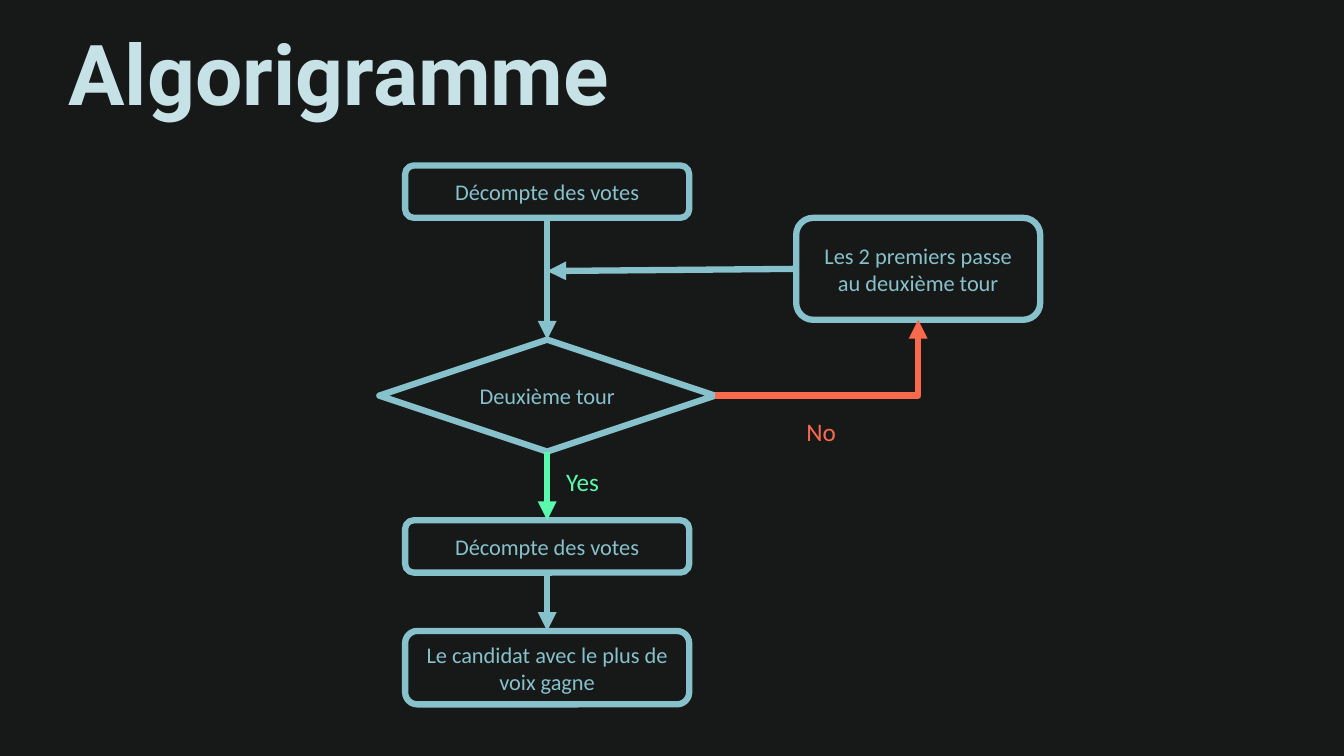
"""Build a slide with the flowchart of a two-round vote."""
from lxml import etree
from pptx import Presentation
from pptx.dml.color import RGBColor
from pptx.enum import shapes, text
from pptx.oxml import ns
from pptx.util import Cm, Pt

DARK = RGBColor(0x17, 0x19, 0x18)
PALE = RGBColor(0xC7, 0xE2, 0xE7)
BLUE = RGBColor(0x87, 0xC1, 0xCC)
GREEN = RGBColor(0x5C, 0xF8, 0xAE)
RED = RGBColor(0xF9, 0x6A, 0x4D)

TITLE = "Algorigramme"
ROUNDED = shapes.MSO_SHAPE.ROUNDED_RECTANGLE
DECISION = shapes.MSO_SHAPE.FLOWCHART_DECISION
MAIN_AXIS, SIDE_AXIS, JOIN_HEIGHT = 13.79, 23.14, 6.83
LINE_WIDTH = Pt(4.5)
TOP, LEFT, BOTTOM, RIGHT = range(4)

# name: (wording, preset, axis, top, width, height)
STEPS = {
    "count": ("Décompte des votes", ROUNDED, MAIN_AXIS, 4.17, 7.16, 1.32),
    "runoff": ("Les 2 premiers passe au deuxième tour", ROUNDED, SIDE_AXIS, 5.49, 6.15, 2.57),
    "decision": ("Deuxième tour", DECISION, MAIN_AXIS, 8.56, 8.46, 2.82),
    "recount": ("Décompte des votes", ROUNDED, MAIN_AXIS, 13.11, 7.16, 1.32),
    "winner": ("Le candidat avec le plus de voix gagne", ROUNDED, MAIN_AXIS, 15.9, 7.16, 1.85),
}
# start, its side, end, its side, colour
ARROWS = [
    ("count", BOTTOM, "decision", TOP, BLUE),
    ("decision", BOTTOM, "recount", TOP, GREEN),
    ("recount", BOTTOM, "winner", TOP, BLUE),
    ("decision", RIGHT, "runoff", BOTTOM, RED),
    ("runoff", LEFT, None, None, BLUE),
]
# wording, left, top, colour
LABELS = [("Yes", 14.02, 11.63, GREEN), ("No", 20.07, 10.36, RED)]


def write(box, wording, *, size, color, font="Calibri", bold=False,
          align=text.PP_ALIGN.LEFT, anchor=text.MSO_ANCHOR.TOP):
    """Fill a box with formatted text."""
    frame = box.text_frame
    frame.word_wrap = True
    frame.vertical_anchor = anchor
    para = frame.paragraphs[0]
    para.alignment = align
    span = para.add_run()
    span.text = wording
    span.font.name, span.font.size, span.font.bold = font, Pt(size), bold
    span.font.color.rgb = color


def add_step(page, wording, preset, axis, top, width, height):
    """Add an outlined step centred on its axis."""
    box = page.shapes.add_shape(preset, Cm(axis - width / 2), Cm(top), Cm(width), Cm(height))
    box.shadow.inherit = False
    box.fill.background()
    box.line.color.rgb = BLUE
    box.line.width = LINE_WIDTH
    write(box, wording, size=16, color=BLUE,
          align=text.PP_ALIGN.CENTER, anchor=text.MSO_ANCHOR.MIDDLE)
    return box


def add_arrow(page, start, start_side, end, end_side, color):
    """Connect two steps, or a step and the join on the main axis."""
    bent = start_side == RIGHT
    kind = shapes.MSO_CONNECTOR.ELBOW if bent else shapes.MSO_CONNECTOR.STRAIGHT
    join = Cm(MAIN_AXIS), Cm(JOIN_HEIGHT)
    arrow = page.shapes.add_connector(kind, *join, *join)
    arrow.begin_connect(start, start_side)
    if end is not None:
        arrow.end_connect(end, end_side)
    arrow.line.color.rgb = color
    arrow.line.width = LINE_WIDTH
    properties = arrow._element.spPr
    if bent:
        properties.find(ns.qn("a:prstGeom")).set("prst", "bentConnector2")
    etree.SubElement(properties.find(ns.qn("a:ln")), ns.qn("a:tailEnd"), type="triangle")
    etree.SubElement(properties, ns.qn("a:effectLst"))


def main():
    """Build and save the deck."""
    deck = Presentation()
    deck.slide_width, deck.slide_height = Cm(33.87), Cm(19.05)
    page = deck.slides.add_slide(deck.slide_layouts[5])
    page.background.fill.solid()
    page.background.fill.fore_color.rgb = DARK

    title = page.shapes.title
    title.left, title.top, title.width, title.height = Cm(1.47), Cm(0.41), Cm(16.54), Cm(2.82)
    write(title, TITLE, size=60, color=PALE, font="Roboto", bold=True)

    steps = {name: add_step(page, *step) for name, step in STEPS.items()}
    for start, start_side, end, end_side, color in ARROWS:
        add_arrow(page, steps[start], start_side, steps.get(end), end_side, color)
    for wording, left, top, color in LABELS:
        label = page.shapes.add_textbox(Cm(left), Cm(top), Cm(1.4), Cm(1.02))
        write(label, wording, size=18, color=color)

    deck.save("out.pptx")


if __name__ == "__main__":
    main()
